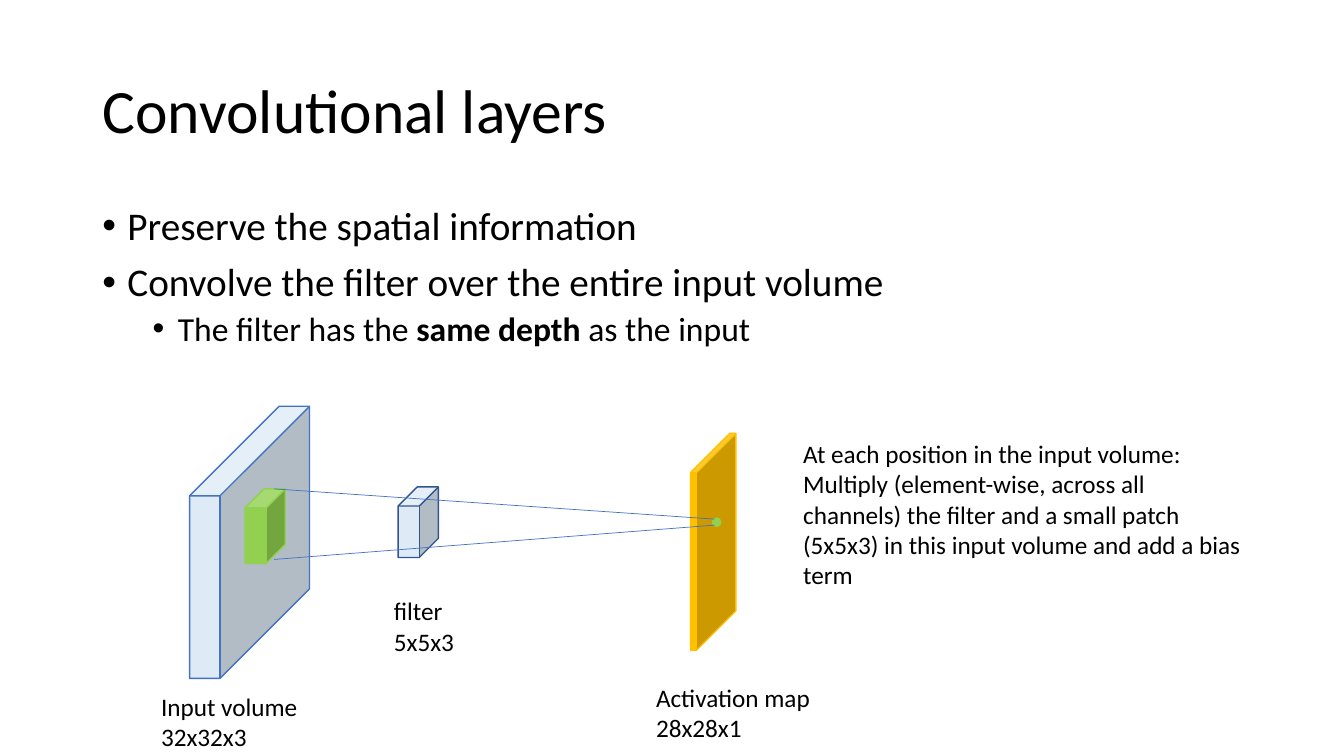
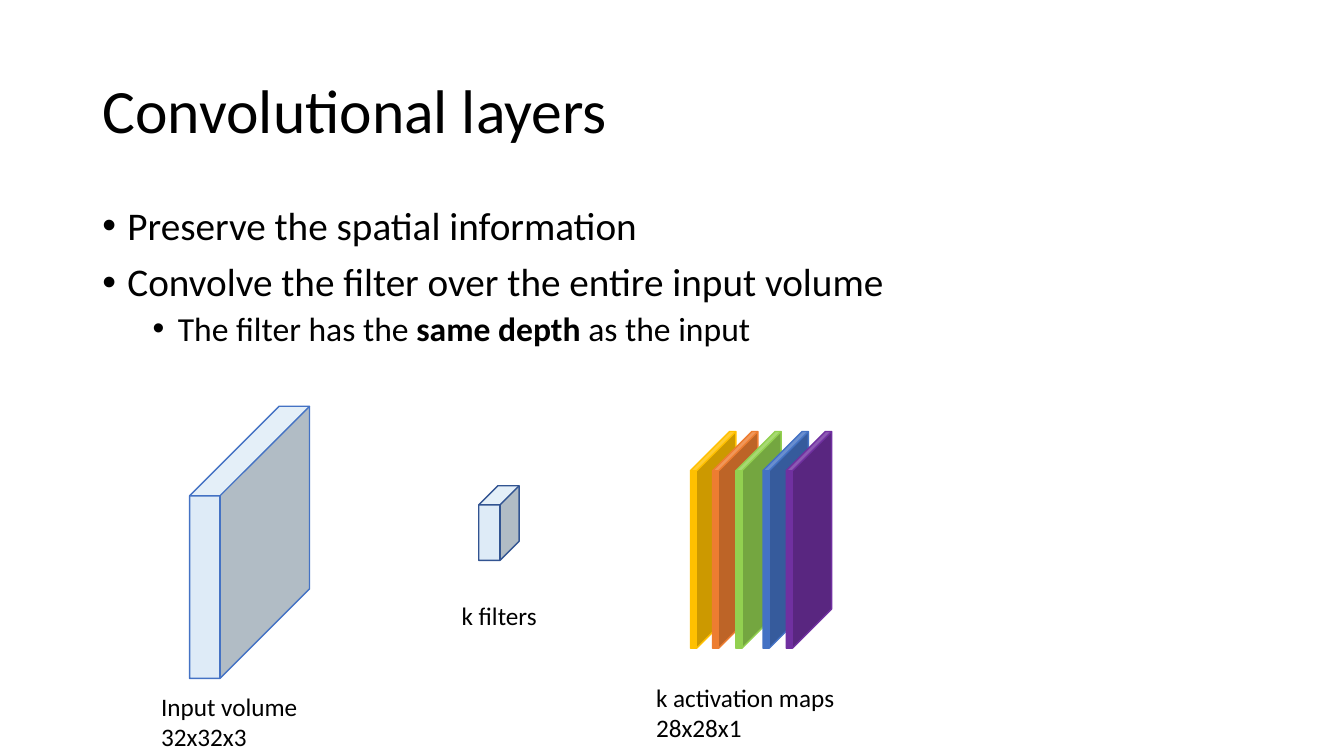
from lxml.etree import SubElement
from pptx import Presentation
from pptx.dml.color import RGBColor
from pptx.enum.shapes import MSO_CONNECTOR, MSO_SHAPE
from pptx.enum.text import MSO_ANCHOR, PP_ALIGN
from pptx.oxml.ns import qn
from pptx.util import Pt

FONT = "Calibri"
COLOURS = {
    "text": "000000",
    "pale": "DEEBF7",
    "blue": "4472C4",
    "navy": "325491",
    "gold": "FFC000",
    "orange": "ED7D31",
    "green": "92D050",
    "purple": "7030A0",
}
BULLETS = [
    (0, ["Preserve the spatial information"]),
    (0, ["Convolve the filter over the entire input volume"]),
    (1, ["The filter has the", " same depth ", "as the input"]),
]
LEVELS = [
    {"size": 28, "before": 10, "indent": 18},
    {"size": 24, "before": 5, "indent": 54},
]
MAP_SIZE = (32.4, 154.8)
MAP_DEPTH = 0.865
FILTER_DEPTH = 0.474


def add_solid(slide, preset, box, fill, line, depth=None):
    solid = slide.shapes.add_shape(preset, *[Pt(v) for v in box])
    solid.shadow.inherit = False
    solid.fill.solid()
    solid.fill.fore_color.rgb = RGBColor.from_string(COLOURS[fill])
    solid.line.color.rgb = RGBColor.from_string(COLOURS[line])
    solid.line.width = Pt(1)
    if depth is not None:
        solid.adjustments[0] = depth


def add_label(slide, box, text, wrap=False):
    label = slide.shapes.add_textbox(*[Pt(v) for v in box])
    label.text_frame.word_wrap = wrap
    label.text_frame.text = text
    for paragraph in label.text_frame.paragraphs:
        for run in paragraph.runs:
            run.font.name = FONT
            run.font.size = Pt(18)
            run.font.color.rgb = RGBColor.from_string(COLOURS["text"])


presentation = Presentation()
presentation.slide_width = Pt(960)
presentation.slide_height = Pt(540)

for _ in range(2):
    slide = presentation.slides.add_slide(presentation.slide_layouts[5])

    title = slide.shapes.title
    title.left, title.top, title.width, title.height = Pt(66), Pt(28.8), Pt(828), Pt(104.4)
    title.text_frame.text = "Convolutional layers"
    title.text_frame.vertical_anchor = MSO_ANCHOR.MIDDLE
    heading = title.text_frame.paragraphs[0]
    heading.alignment = PP_ALIGN.LEFT
    heading.line_spacing = 0.9
    heading.runs[0].font.name = FONT
    heading.runs[0].font.size = Pt(44)
    heading.runs[0].font.color.rgb = RGBColor.from_string(COLOURS["text"])

    points = slide.shapes.add_textbox(Pt(66), Pt(144), Pt(828), Pt(342.7)).text_frame
    points.word_wrap = True
    for index, (level, parts) in enumerate(BULLETS):
        style = LEVELS[level]
        point = points.add_paragraph() if index else points.paragraphs[0]
        point.level = level
        point.line_spacing = 0.9
        point.space_before = Pt(style["before"])
        properties = point._p.get_or_add_pPr()
        properties.set("marL", str(Pt(style["indent"])))
        properties.set("indent", str(Pt(-18)))
        SubElement(properties, qn("a:buFont")).set("typeface", "Arial")
        SubElement(properties, qn("a:buChar")).set("char", "•")
        for part in parts:
            run = point.add_run()
            run.text = part
            run.font.name = FONT
            run.font.size = Pt(style["size"])
            run.font.bold = part == " same depth "
            run.font.color.rgb = RGBColor.from_string(COLOURS["text"])

    add_solid(slide, MSO_SHAPE.CUBE, (135.4, 290.2, 85.7, 194.4), "pale", "blue", 0.747)
    add_label(slide, (108, 490.3, 113, 51), "Input volume\n32x32x3")

single_filter, many_filters = presentation.slides

add_solid(single_filter, MSO_SHAPE.CUBE, (284.4, 347.8, 28.8, 50.4), "pale", "navy", FILTER_DEPTH)
add_label(single_filter, (274.3, 421.9, 57.6, 51), "filter\n5x5x3")
add_solid(single_filter, MSO_SHAPE.CUBE, (493.2, 309.6, *MAP_SIZE), "gold", "gold", MAP_DEPTH)
add_label(single_filter, (461.5, 483.8, 126, 51), "Activation map\n28x28x1")
add_label(
    single_filter,
    (566.6, 309.6, 332.6, 116.6),
    "At each position in the input volume:\n"
    "Multiply (element-wise, across all channels) the filter and a small patch (5x5x3) "
    "in this input volume and add a bias term",
    wrap=True,
)
add_solid(single_filter, MSO_SHAPE.OVAL, (509, 370.1, 5.8, 5.8), "green", "green")
add_solid(single_filter, MSO_SHAPE.CUBE, (175, 349.2, 28.8, 53.3), "green", "green", FILTER_DEPTH)
for patch_y, neuron_y in [(349.2, 370.8), (399.6, 375.1)]:
    ray = single_filter.shapes.add_connector(
        MSO_CONNECTOR.STRAIGHT, Pt(195.8), Pt(patch_y), Pt(510.5), Pt(neuron_y)
    )
    ray.line.color.rgb = RGBColor.from_string(COLOURS["blue"])
    ray.line.width = Pt(0.5)
    SubElement(ray._element.spPr, qn("a:effectLst"))

add_solid(many_filters, MSO_SHAPE.CUBE, (342, 347, 28.8, 53.3), "pale", "navy", FILTER_DEPTH)
add_label(many_filters, (322.6, 425.5, 69.1, 29), "k filters")
add_label(many_filters, (461.5, 483.8, 143.3, 51), "k activation maps\n28x28x1")
map_lefts = [493.2, 509, 525.6, 545, 561.6]
for left, colour in zip(map_lefts, ["gold", "orange", "green", "blue", "purple"]):
    add_solid(many_filters, MSO_SHAPE.CUBE, (left, 308.2, *MAP_SIZE), colour, colour, MAP_DEPTH)

presentation.save("out.pptx")
